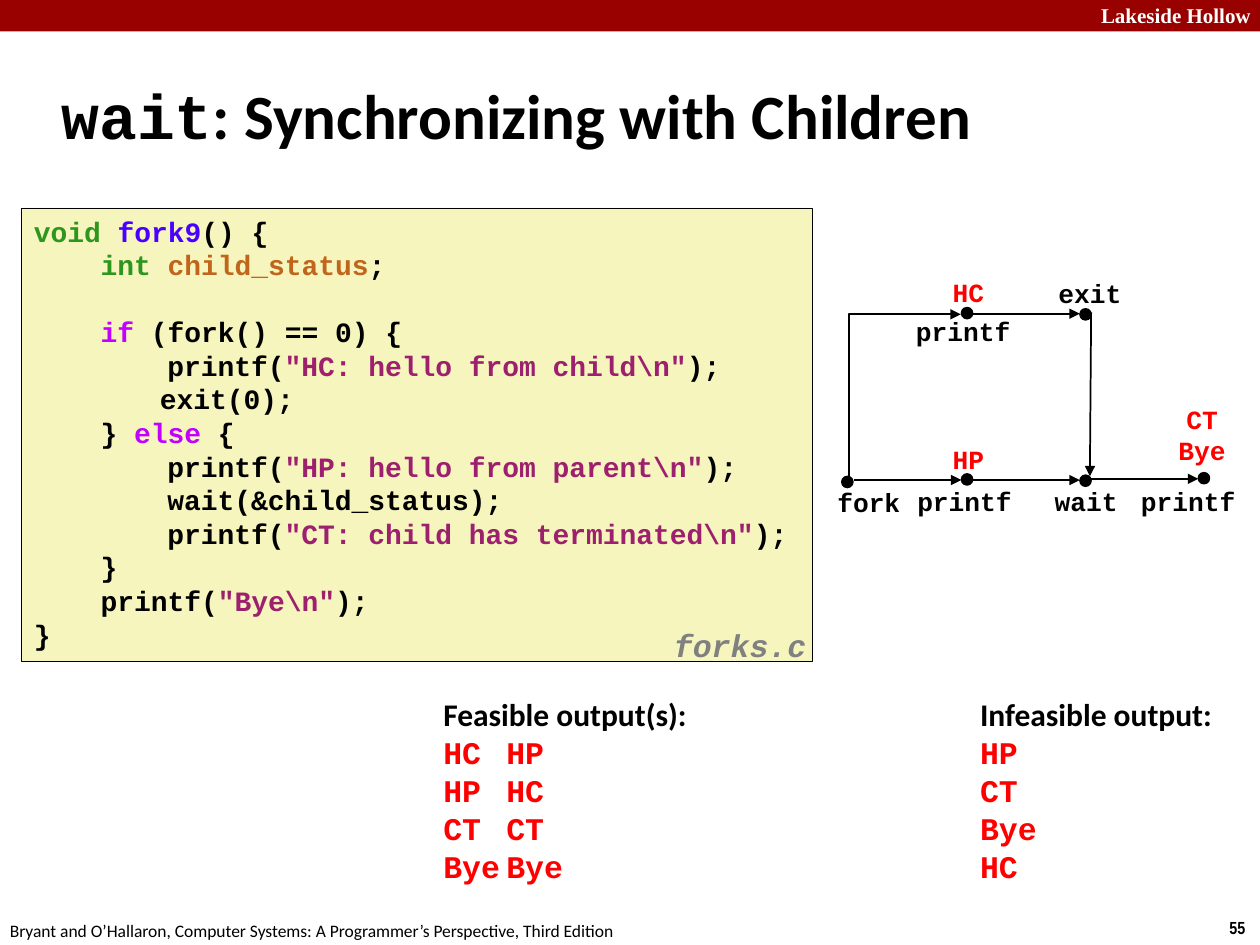
from lxml.etree import SubElement
from pptx import Presentation
from pptx.dml.color import RGBColor
from pptx.enum.shapes import MSO_CONNECTOR, MSO_SHAPE
from pptx.enum.text import MSO_ANCHOR, PP_ALIGN
from pptx.oxml.ns import qn
from pptx.util import Inches, Pt

BLACK = RGBColor(0x00, 0x00, 0x00)
WHITE = RGBColor(0xFF, 0xFF, 0xFF)
RED = RGBColor(0xFF, 0x00, 0x00)
GREY = RGBColor(0x80, 0x80, 0x80)
BANNER = RGBColor(0x99, 0x00, 0x00)
CREAM = RGBColor(0xF6, 0xF5, 0xBD)
TYPE = RGBColor(0x2D, 0x96, 0x1E)
FUNCTION = RGBColor(0x4A, 0x00, 0xFF)
VARIABLE = RGBColor(0xC1, 0x65, 0x1C)
KEYWORD = RGBColor(0xC2, 0x00, 0xFF)
STRING = RGBColor(0x9D, 0x20, 0x6F)
MONO = "Courier New"
SANS = "Calibri"

deck = Presentation()
deck.slide_width = Inches(10)
deck.slide_height = Inches(7.5)
page = deck.slides.add_slide(deck.slide_layouts[6])


def write(box, lines, size, bold=True, italic=False, align=PP_ALIGN.LEFT):
    frame = box.text_frame
    frame.word_wrap = True
    frame.vertical_anchor = MSO_ANCHOR.TOP
    for number, runs in enumerate(lines):
        para = frame.add_paragraph() if number else frame.paragraphs[0]
        para.alignment = align
        para.line_spacing = Pt(size * 1.2)
        for text, font, color in runs:
            span = para.add_run()
            span.text = text
            span.font.name = font
            span.font.size = Pt(size)
            span.font.bold = bold
            span.font.italic = italic
            span.font.color.rgb = color


def add_text(left, top, width, height, lines, size, **style):
    box = page.shapes.add_textbox(Inches(left), Inches(top), Inches(width), Inches(height))
    write(box, lines, size, **style)
    return box


banner = page.shapes.add_shape(MSO_SHAPE.RECTANGLE, 0, 0, Inches(10), Inches(0.25))
banner.shadow.inherit = False
banner.fill.solid()
banner.fill.fore_color.rgb = BANNER
banner.line.fill.background()

add_text(8.64, -0.03, 1.43, 0.3, [[("Lakeside Hollow", "Times New Roman", WHITE)]], 12)
add_text(9.66, 7.23, 0.34, 0.27, [[("55", "Arial Narrow", BLACK)]], 10)
add_text(-0.02, 7.25, 5.08, 0.27, [[(
    "Bryant and O’Hallaron, Computer Systems: A Programmer’s Perspective, Third Edition",
    SANS, BLACK)]], 10, bold=False)
title = add_text(0.39, 0.49, 8.3, 0.83, [[
    ("wait", MONO, BLACK), (": Synchronizing with Children", SANS, BLACK)]], 36)
title.text_frame.vertical_anchor = MSO_ANCHOR.MIDDLE

STEP = 0.53
code = [
    (0, [("void ", TYPE), ("fork9", FUNCTION), ("() {", BLACK)]),
    (STEP, [("int ", TYPE), ("child_status", VARIABLE), (";", BLACK)]),
    (STEP, [("if", KEYWORD), (" (fork() == 0) {", BLACK)]),
    (2 * STEP, [("printf(", BLACK), ('"HC: hello from child\\n"', STRING), (");", BLACK)]),
    (1, [("exit(0);", BLACK)]),
    (STEP, [("} ", BLACK), ("else", KEYWORD), (" {", BLACK)]),
    (2 * STEP, [("printf(", BLACK), ('"HP: hello from parent\\n"', STRING), (");", BLACK)]),
    (2 * STEP, [("wait(&child_status);", BLACK)]),
    (2 * STEP, [("printf(", BLACK), ('"CT: child has terminated\\n"', STRING), (");", BLACK)]),
    (STEP, [("}", BLACK)]),
    (STEP, [("printf(", BLACK), ('"Bye\\n"', STRING), (");", BLACK)]),
    (0, [("}", BLACK)]),
]
listing = page.shapes.add_shape(
    MSO_SHAPE.RECTANGLE, Inches(0.17), Inches(1.65), Inches(6.28), Inches(3.6))
listing.shadow.inherit = False
listing.fill.solid()
listing.fill.fore_color.rgb = CREAM
listing.line.color.rgb = BLACK
listing.line.width = Pt(0.25)
write(listing, [[(text, MONO, color) for text, color in runs] for _, runs in code], 16)
for para, (indent, _) in zip(listing.text_frame.paragraphs, code):
    properties = para._p.get_or_add_pPr()
    properties.set("marL", str(Inches(indent)))
    properties.set("indent", "0")
listing.text_frame.paragraphs[2].space_before = Pt(19.2)
add_text(5.25, 4.92, 1.32, 0.39, [[("forks.c", MONO, GREY)]], 18, italic=True)

arrows = [
    (MSO_CONNECTOR.STRAIGHT, 6.78, 3.81, 7.63, 3.81),
    (MSO_CONNECTOR.STRAIGHT, 7.72, 3.81, 8.57, 3.81),
    (MSO_CONNECTOR.STRAIGHT, 8.66, 3.8, 9.51, 3.8),
    (MSO_CONNECTOR.STRAIGHT, 7.72, 2.49, 8.57, 2.49),
    (MSO_CONNECTOR.STRAIGHT, 8.66, 2.48, 8.65, 3.78),
    (MSO_CONNECTOR.ELBOW, 7.82, 3.58, 6.54, 2.69),
]
for kind, *ends in arrows:
    arrow = page.shapes.add_connector(kind, *[Inches(end) for end in ends])
    arrow.line.color.rgb = BLACK
    arrow.line.width = Pt(1)
    properties = arrow._element.spPr
    SubElement(properties.find(qn("a:ln")), qn("a:tailEnd"), type="triangle")
    SubElement(properties, qn("a:effectLst"))
    if kind == MSO_CONNECTOR.ELBOW:
        properties.find(qn("a:xfrm")).set("rot", "5400000")
        properties.find(qn("a:prstGeom")).set("prst", "bentConnector2")

for left, top in [(6.68, 3.78), (7.63, 3.76), (8.57, 3.77), (9.51, 3.75), (7.63, 2.44), (8.57, 2.45)]:
    event = page.shapes.add_shape(
        MSO_SHAPE.OVAL, Inches(left), Inches(top), Inches(0.09), Inches(0.09))
    event.shadow.inherit = False
    event.fill.solid()
    event.fill.fore_color.rgb = BLACK
    event.line.color.rgb = BLACK
    event.line.width = Pt(0.75)

labels = [
    (6.49, 3.81, 0.81, 0.35, ["fork"], BLACK),
    (7.17, 3.8, 0.97, 0.35, ["printf"], BLACK),
    (8.14, 3.8, 0.96, 0.35, ["wait"], BLACK),
    (8.95, 3.8, 0.96, 0.35, ["printf"], BLACK),
    (7.13, 2.45, 1.03, 0.35, ["printf"], BLACK),
    (8.17, 2.15, 0.96, 0.35, ["exit"], BLACK),
    (7.46, 3.47, 0.45, 0.35, ["HP"], RED),
    (7.46, 2.14, 0.45, 0.35, ["HC"], RED),
    (9.25, 3.15, 0.58, 0.61, ["CT", "Bye"], RED),
]
for left, top, width, height, words, color in labels:
    label = add_text(left, top, width, height, [[(word, MONO, color)] for word in words],
                     15, align=PP_ALIGN.CENTER)
    label.text_frame.margin_left = label.text_frame.margin_right = 0

outputs = [
    (3.42, 3, "Feasible output(s):", ["HC\tHP", "HP\tHC", "CT\tCT", "Bye\tBye"]),
    (7.68, 2.07, "Infeasible output:", ["HP", "CT", "Bye", "HC"]),
]
for left, width, heading, rows in outputs:
    add_text(left, 5.47, width, 1.62,
             [[(heading, SANS, BLACK)]] + [[(row, MONO, RED)] for row in rows], 18)

deck.save("out.pptx")
